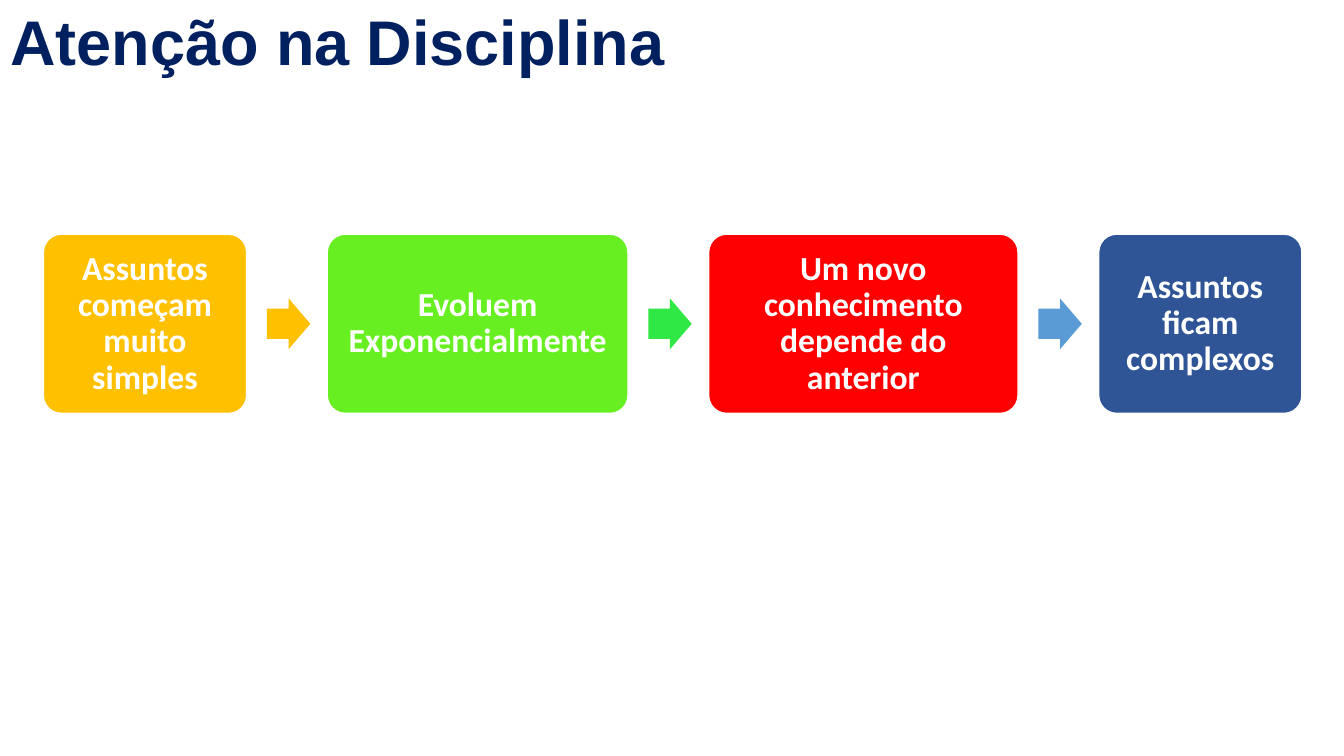
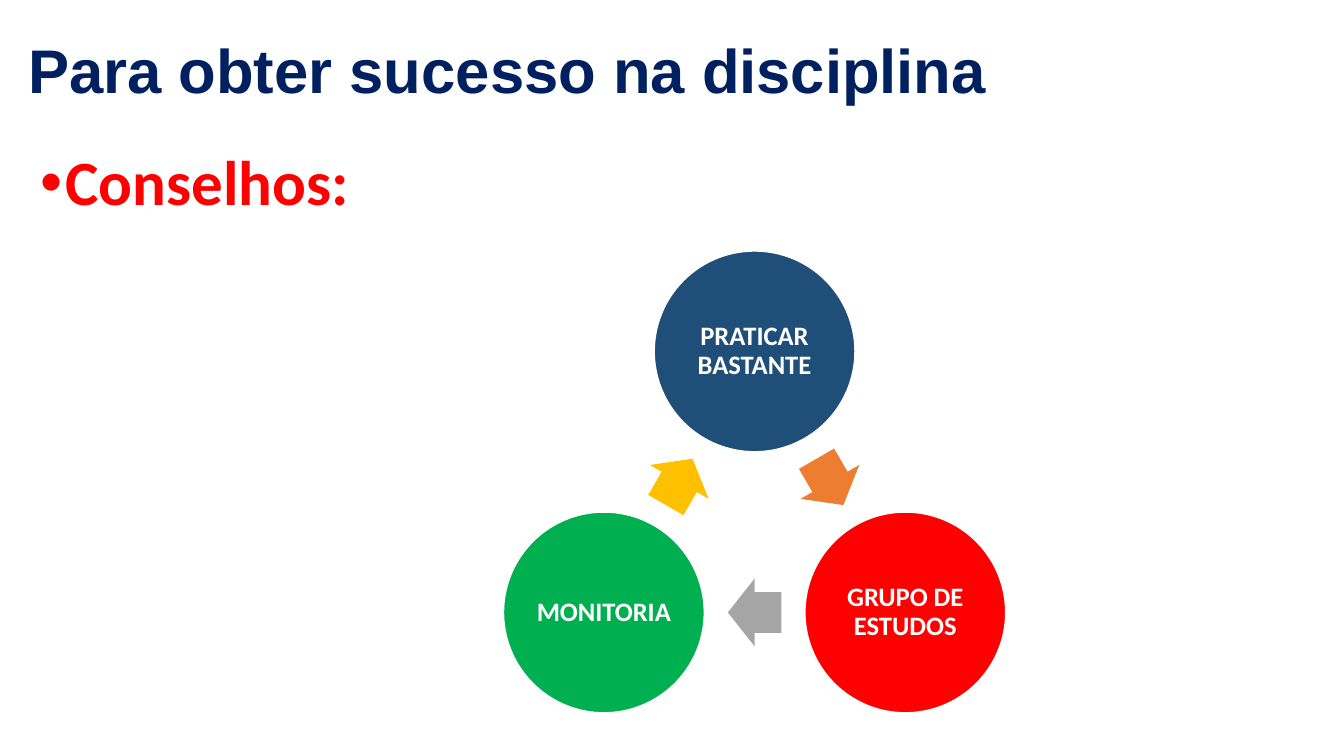
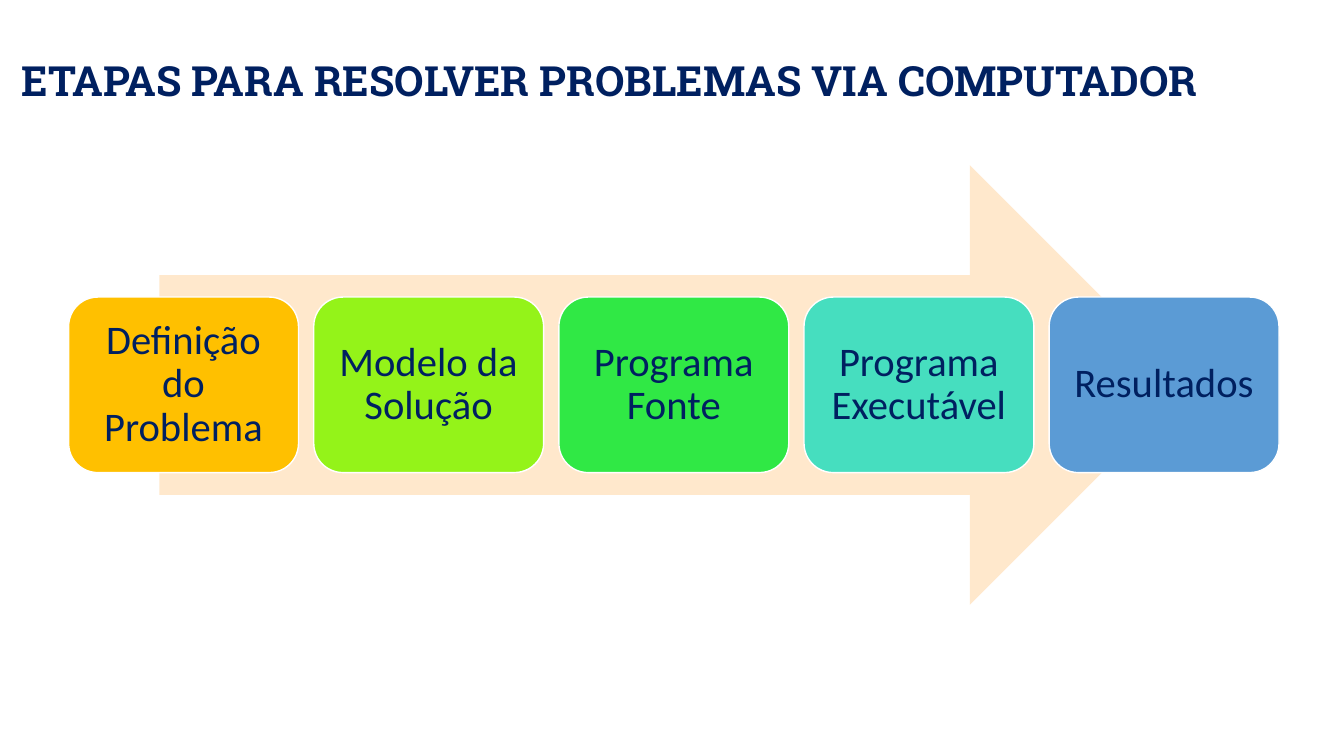
"""Build three slides on a programming course: flow, cycle and steps."""
from dataclasses import dataclass
from math import cos, radians, sin

from pptx import Presentation
from pptx import util as u
from pptx.dml.color import RGBColor
from pptx.enum import shapes, text
from pptx.oxml import parse_xml
from pptx.oxml.ns import nsdecls

Kind = shapes.MSO_SHAPE
Side = text.PP_ALIGN


@dataclass(frozen=True)
class Theme:
    navy: str = "002060"
    white: str = "FFFFFF"
    gold: str = "FFC000"
    lime: str = "67EF21"
    leaf: str = "94F319"
    green: str = "30E845"
    teal: str = "46DEBF"
    red: str = "FF0000"
    sky: str = "5B9BD5"
    blue: str = "2F5597"
    deep: str = "1F4E79"
    moss: str = "00B050"
    rust: str = "ED7D31"
    gray: str = "A5A5A5"
    cream: str = "FFE8CC"
    head: str = "Arial"
    body: str = "Calibri"
    slab: str = "Roboto Slab"
    big: float = 45
    main: float = 44
    caps: float = 29.7
    step: float = 29
    flow: float = 24
    ring: float = 19


T = Theme()


def write(frame, words, size, color, font=T.body, bold=True,
          align=Side.CENTER, anchor=text.MSO_ANCHOR.MIDDLE, inset=None):
    frame.word_wrap = True
    frame.auto_size = text.MSO_AUTO_SIZE.NONE
    frame.vertical_anchor = anchor
    if inset is not None:
        frame.margin_left = frame.margin_right = u.Pt(inset)
        frame.margin_top = frame.margin_bottom = u.Pt(inset)
    para = frame.paragraphs[0]
    para.alignment = align
    para.line_spacing = 0.9
    run = para.add_run()
    run.text = words
    run.font.size = u.Pt(size)
    run.font.name = font
    run.font.bold = bold
    run.font.color.rgb = RGBColor.from_string(color)
    return para


class Deck:
    def __init__(self):
        self.file = Presentation()
        self.file.slide_width = u.Pt(960)
        self.file.slide_height = u.Pt(540)
        self.slide = None

    def start(self, words, box, size, font=T.head):
        self.slide = self.file.slides.add_slide(self.file.slide_layouts[5])
        title = self.slide.shapes.title
        title.left, title.top, title.width, title.height = map(u.Pt, box)
        write(title.text_frame, words, size, T.navy, font=font, align=Side.LEFT)

    def shape(self, kind, box, fill, line=None, adj=(), turn=0):
        item = self.slide.shapes.add_shape(kind, *map(u.Pt, box))
        item.shadow.inherit = False
        item.fill.solid()
        item.fill.fore_color.rgb = RGBColor.from_string(fill)
        if line:
            item.line.color.rgb = RGBColor.from_string(line)
            item.line.width = u.Pt(1)
        else:
            item.line.fill.background()
        for spot, value in enumerate(adj):
            item.adjustments[spot] = value
        item.rotation = turn
        return item

    def card(self, words, box, fill, size, kind=Kind.ROUNDED_RECTANGLE,
             adj=(), **form):
        item = self.shape(kind, box, fill, T.white, adj)
        write(item.text_frame, words, size, **form)

    def arrow(self, mid, size, fill, turn=0):
        (x, y), (wide, high) = mid, size
        box = (x - wide / 2, y - high / 2, wide, high)
        self.shape(Kind.RIGHT_ARROW, box, fill, adj=(0.6, 0.5), turn=turn)

    def bullet(self, words, box, size, color):
        item = self.slide.shapes.add_textbox(*map(u.Pt, box))
        para = write(item.text_frame, words, size, color, align=Side.LEFT,
                     anchor=text.MSO_ANCHOR.TOP)
        props = para._p.get_or_add_pPr()
        props.set("marL", str(u.Pt(18)))
        props.set("indent", str(u.Pt(-18)))
        props.append(parse_xml(f'<a:buFont {nsdecls("a")} typeface="Arial"/>'))
        props.append(parse_xml(f'<a:buChar {nsdecls("a")} char="•"/>'))


def flow(deck):
    deck.start("Atenção na Disciplina", (0, 4, 828, 56.4), T.big)
    top, high, gap, left = 167.3, 128, 57.6, 31
    cards = [
        ("Assuntos começam muito simples", 145.2, T.gold, T.gold),
        ("Evoluem Exponencialmente", 214.8, T.lime, T.green),
        ("Um novo conhecimento depende do anterior", 221, T.red, T.sky),
        ("Assuntos ficam complexos", 145.2, T.blue, None),
    ]
    for words, wide, fill, tip in cards:
        deck.card(words, (left, top, wide, high), fill, T.flow, adj=(0.1,),
                  color=T.white, inset=7.2)
        left += wide + gap
        if tip:
            deck.arrow((left - gap / 2 + 1.2, top + high / 2), (31, 36.2), tip)


def cycle(deck):
    deck.start("Para obter sucesso na disciplina", (13, 0, 828, 104.4), T.main)
    deck.bullet("Conselhos:", (21.6, 104.4, 248.4, 74.9), T.big, T.red)
    x, y, reach, wide = 539, 375.3, 124.3, 143.4
    nodes = [
        ("PRATICAR BASTANTE", T.deep, T.rust),
        ("GRUPO DE ESTUDOS", T.red, T.gray),
        ("MONITORIA", T.moss, T.gold),
    ]

    def place(angle, far):
        return x + far * sin(radians(angle)), y - far * cos(radians(angle))

    for spot, (words, fill, tip) in enumerate(nodes):
        angle = spot * 120
        left, top = (value - wide / 2 for value in place(angle, reach))
        deck.card(words, (left, top, wide, wide), fill, T.ring,
                  kind=Kind.OVAL, color=T.white, inset=2)
        deck.arrow(place(angle + 60, reach / 2), (38.2, 48.4), tip, angle + 60)


def steps(deck):
    deck.start("ETAPAS PARA RESOLVER PROBLEMAS VIA COMPUTADOR",
               (8, 31.6, 944.6, 56), T.caps, T.slab)
    deck.shape(Kind.RIGHT_ARROW, (113.8, 118, 736, 314), T.cream)
    cards = [
        ("Definição do Problema", T.gold),
        ("Modelo da Solução", T.leaf),
        ("Programa Fonte", T.green),
        ("Programa Executável", T.teal),
        ("Resultados", T.sky),
    ]
    for spot, (words, fill) in enumerate(cards):
        deck.card(words, (49 + spot * 175.1, 212.2, 164.2, 125.4), fill, T.step,
                  color=T.navy, bold=False, inset=8.6)


def main():
    deck = Deck()
    for draw in (flow, cycle, steps):
        draw(deck)
    deck.file.save("out.pptx")


if __name__ == "__main__":
    main()
